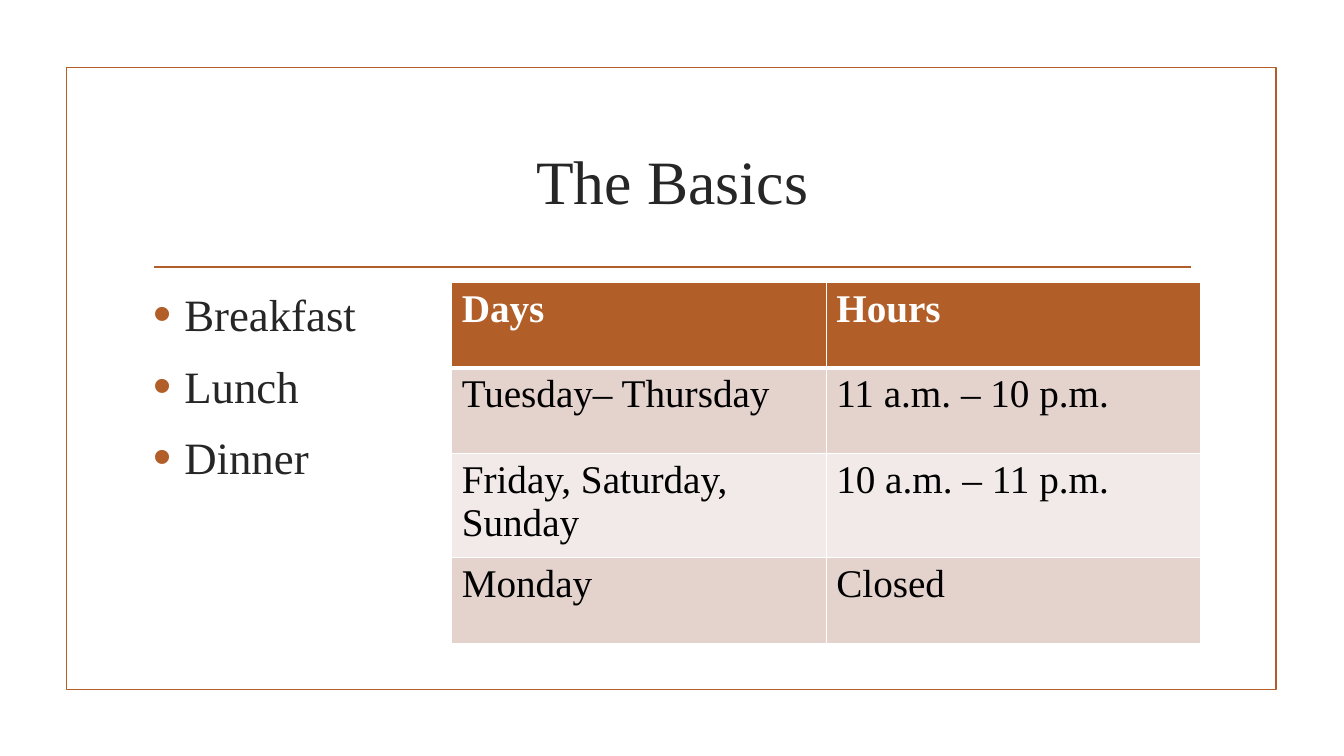
from lxml import etree
from pptx import Presentation
from pptx.dml.color import RGBColor
from pptx.enum.shapes import MSO_CONNECTOR, MSO_SHAPE
from pptx.enum.text import MSO_ANCHOR, PP_ALIGN
from pptx.oxml.ns import qn
from pptx.util import Inches, Pt

RECT, STRAIGHT = MSO_SHAPE.RECTANGLE, MSO_CONNECTOR.STRAIGHT
MIDDLE, CENTER, LEFT = MSO_ANCHOR.MIDDLE, PP_ALIGN.CENTER, PP_ALIGN.LEFT

# Content
TITLE = "The Basics"
MEALS = ["Breakfast", "Lunch", "Dinner"]
HOURS = [
    ("Days", "Hours"),
    ("Tuesday– Thursday", "11 a.m. – 10 p.m."),
    ("Friday, Saturday, Sunday", "10 a.m. – 11 p.m."),
    ("Monday", "Closed"),
]

# Style
FONT = "Times New Roman"
RUST, INK, WHITE, BLACK = "B15E28", "262626", "FFFFFF", "000000"
BANDS = ["F2EAE8", "E4D2CD"]
COL_W, ROW_H = 3.715, 0.85


def rgb(color):
    return RGBColor.from_string(color)


def style(p, size, color, bold=False, align=LEFT):
    p.alignment = align
    for r in p.runs:
        r.font.name, r.font.size, r.font.bold = FONT, Pt(size), bold
        r.font.color.rgb = rgb(color)


def add(parent, tag, **attrs):
    return etree.SubElement(parent, qn(tag), attrs)


def add_color(parent, color):
    add(parent, "a:srgbClr", val=color)


def add_text(x, y, w, h, lines):
    tf = s.shapes.add_textbox(Inches(x), Inches(y), Inches(w), Inches(h)).text_frame
    tf.word_wrap = True
    tf.text = "\n".join(lines)
    return tf


def bullet(p):
    pPr = p._p.get_or_add_pPr()
    pPr.set("marL", str(Inches(0.31)))
    pPr.set("indent", str(-Inches(0.31)))
    add(add(pPr, "a:spcBef"), "a:spcPct", val="20000")
    p.space_after = Pt(6)
    add_color(add(pPr, "a:buClr"), RUST)
    add(pPr, "a:buSzPct", val="115000")
    add(pPr, "a:buFont", typeface="Arial")
    add(pPr, "a:buChar", char="•")


def border(cell, side, width):
    ln = add(cell._tc.get_or_add_tcPr(), "a:ln" + side, w=str(Pt(width)))
    add_color(add(ln, "a:solidFill"), WHITE)


prs = Presentation()
prs.slide_width, prs.slide_height = Inches(13.33), Inches(7.5)
s = prs.slides.add_slide(prs.slide_layouts[6])

# Frame and rule under the title
frame = s.shapes.add_shape(RECT, Inches(0.66), Inches(0.67), Inches(12), Inches(6.17))
frame.shadow.inherit = False
frame.fill.background()
rule = s.shapes.add_connector(STRAIGHT, Inches(1.53), Inches(2.65), Inches(11.81), Inches(2.65))
add(rule._element.spPr, "a:effectLst")
for sp in (frame, rule):
    sp.line.color.rgb = rgb(RUST)
    sp.line.width = Pt(1.25)

# Title
tf = add_text(1.42, 1.07, 10.5, 1.43, [TITLE])
tf.vertical_anchor = MIDDLE
style(tf.paragraphs[0], 44, INK, align=CENTER)

# Meals
for p in add_text(1.42, 2.8, 5.16, 3.63, MEALS).paragraphs:
    style(p, 32, INK)
    bullet(p)

# Opening hours
rows, cols = len(HOURS), len(HOURS[0])
table = s.shapes.add_table(rows, cols, Inches(4.48), Inches(2.8),
                           Inches(COL_W * cols), Inches(ROW_H * rows)).table
for col in table.columns:
    col.width = Inches(COL_W)
for i, row in enumerate(HOURS):
    table.rows[i].height = Inches(ROW_H)
    header = i == 0
    for j, text in enumerate(row):
        cell = table.cell(i, j)
        cell.text = text
        style(cell.text_frame.paragraphs[0], 28, WHITE if header else BLACK, bold=header)
        for side in "LRTB":
            thick = (i, side) in ((0, "B"), (1, "T"))
            border(cell, side, 3 if thick else 1)
        cell.fill.solid()
        cell.fill.fore_color.rgb = rgb(RUST if header else BANDS[i % 2])

prs.save("out.pptx")
